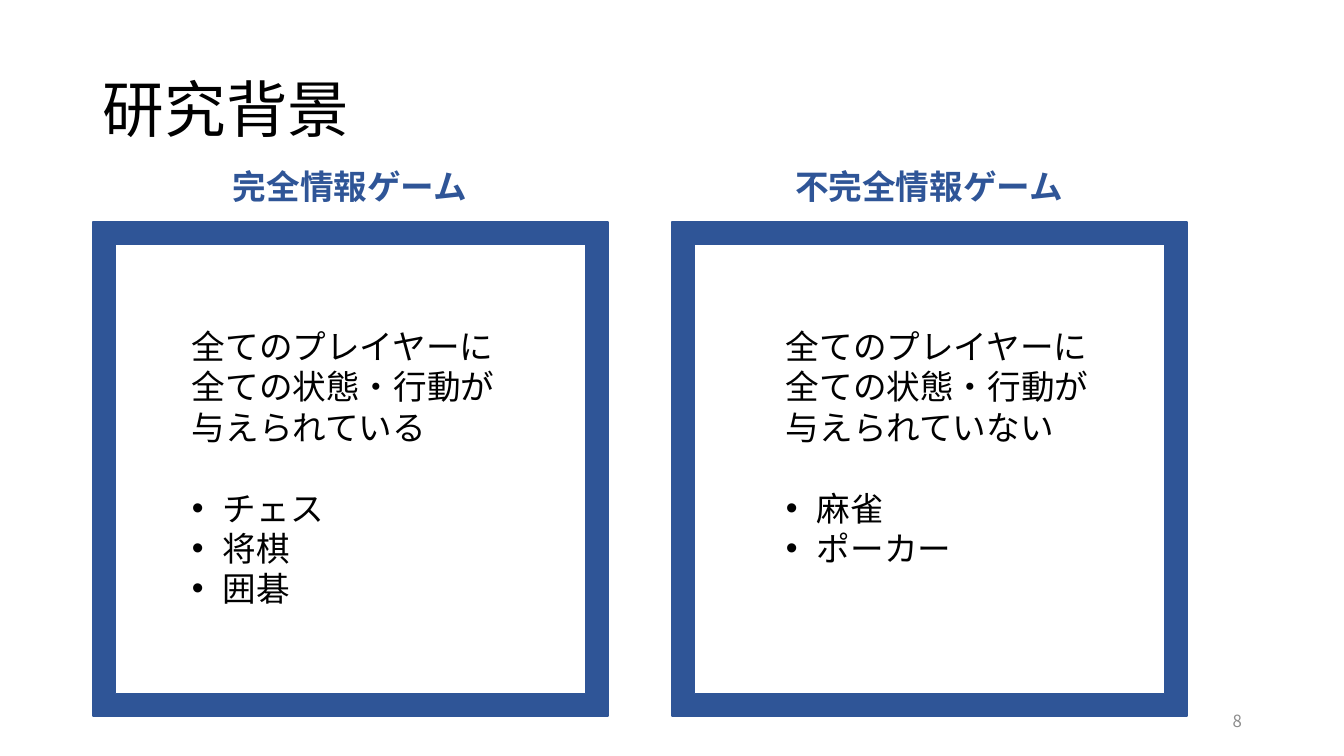
from lxml import etree
from pptx import Presentation
from pptx.dml.color import RGBColor
from pptx.enum.shapes import MSO_SHAPE
from pptx.enum.text import MSO_ANCHOR, PP_ALIGN
from pptx.oxml.ns import qn
from pptx.util import Emu, Pt

BLACK = RGBColor(0x00, 0x00, 0x00)
BLUE = RGBColor(0x2F, 0x55, 0x97)
GRAY = RGBColor(0x8C, 0x8C, 0x8C)
LEFT, CENTER, RIGHT = PP_ALIGN.LEFT, PP_ALIGN.CENTER, PP_ALIGN.RIGHT
TOP, MIDDLE = MSO_ANCHOR.TOP, MSO_ANCHOR.MIDDLE
FRAME = MSO_SHAPE.FRAME
FONT = "Noto Sans CJK JP"
BULLET_INDENT = 31
BULLET_GAP = Pt(29)

GAMES = [
    (93, 182, "完全情報ゲーム", "全てのプレイヤーに全ての状態・行動が与えられている",
     ["チェス", "将棋", "囲碁"]),
    (672, 776, "不完全情報ゲーム", "全てのプレイヤーに全ての状態・行動が与えられていない",
     ["麻雀", "ポーカー"]),
]


def px(length):
    return Emu(round(length * 914400 / 100.8))


def write(paragraph, text, size=24, color=BLACK, bold=False, align=LEFT, spacing=1.0):
    paragraph.alignment = align
    paragraph.line_spacing = spacing
    run = paragraph.add_run()
    run.text = text
    run.font.size = Pt(size)
    run.font.bold = bold
    run.font.color.rgb = color
    run.font.name = FONT
    etree.SubElement(run.font._element, qn("a:ea"), typeface=FONT)


class GameSlide:
    def __init__(self, deck):
        self.shapes = deck.slides.add_slide(deck.slide_layouts[6]).shapes

    def text(self, left, top, width, height, words, anchor=TOP, **style):
        frame = self.shapes.add_textbox(px(left), px(top), px(width), px(height)).text_frame
        frame.word_wrap = True
        frame.vertical_anchor = anchor
        write(frame.paragraphs[0], words, **style)
        return frame

    def frame(self, left, top, width, height):
        border = self.shapes.add_shape(FRAME, px(left), px(top), px(width), px(height))
        border.adjustments[0] = 0.045
        border.shadow.inherit = False
        border.fill.solid()
        border.fill.fore_color.rgb = BLUE
        border.line.color.rgb = BLUE
        border.line.width = Pt(1)

    def bullets(self, frame, items):
        for index, item in enumerate(items):
            paragraph = frame.add_paragraph()
            write(paragraph, item)
            paragraph.space_before = Pt(0) if index else BULLET_GAP
            properties = paragraph._p.get_or_add_pPr()
            properties.set("marL", str(px(BULLET_INDENT)))
            properties.set("indent", str(-px(BULLET_INDENT)))
            etree.SubElement(properties, qn("a:buFont"), typeface="Arial")
            etree.SubElement(properties, qn("a:buChar"), char="•")


def main():
    deck = Presentation()
    deck.slide_width, deck.slide_height = px(1344), px(756)
    slide = GameSlide(deck)
    slide.text(93, 40, 1159, 146, "研究背景", anchor=MIDDLE, size=44, spacing=0.9)
    slide.text(950, 701, 302, 40, "8", anchor=MIDDLE, size=12, color=GRAY, align=RIGHT)
    for left, body_left, heading, definition, examples in GAMES:
        slide.frame(left, 222, 515, 494)
        slide.text(left + 104, 161, 306, 50, heading, color=BLUE, bold=True, align=CENTER)
        body = slide.text(body_left, 321, 335, 295, definition)
        slide.bullets(body, examples)
    deck.save("out.pptx")


if __name__ == "__main__":
    main()
